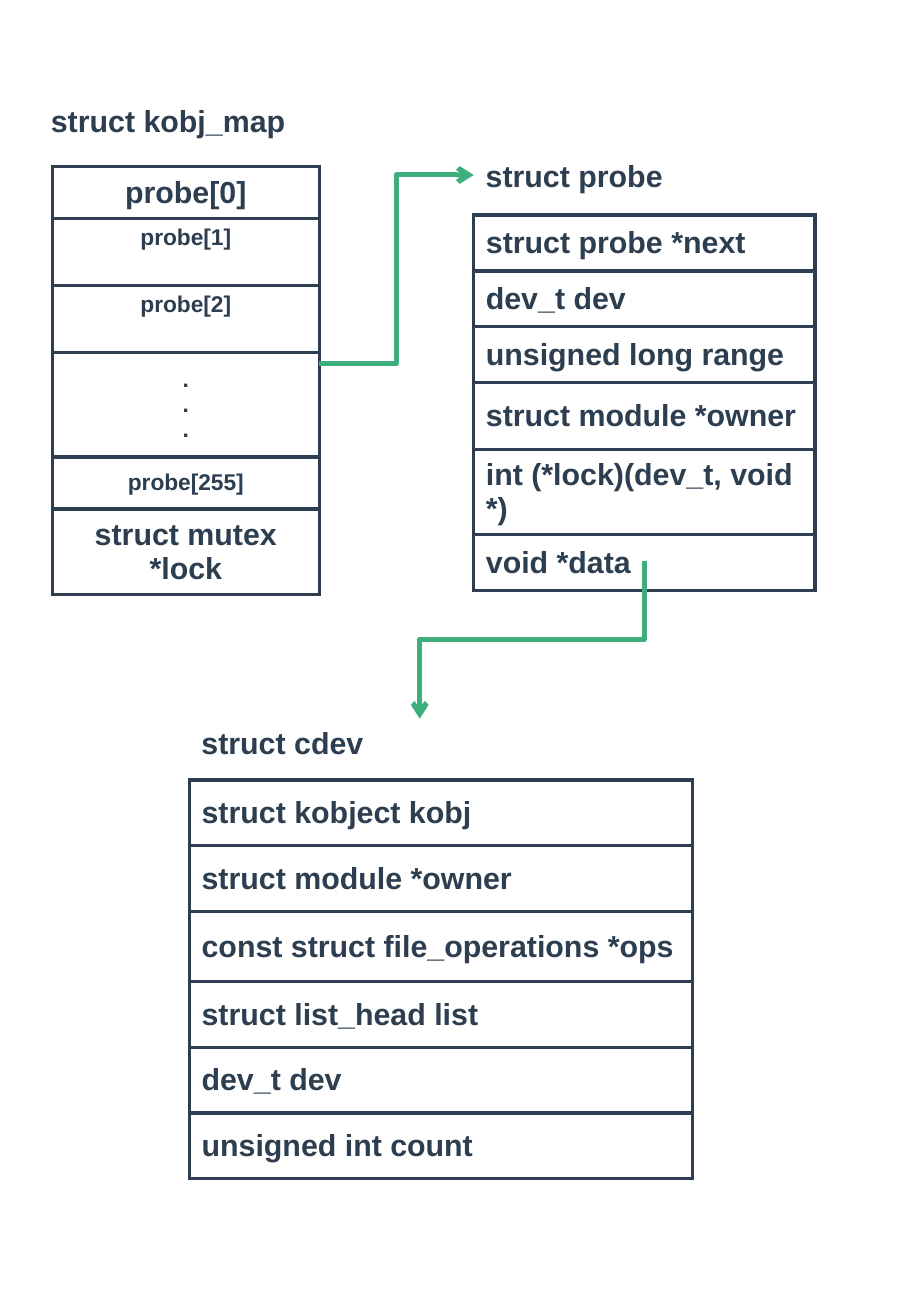
import pptx
import pptx.dml.color
import pptx.enum.shapes
import pptx.enum.text
import pptx.oxml
import pptx.oxml.ns
import pptx.util
from pptx.util import Inches

COLORS = {"ink": "2C3E50", "pointer": "3EAF7C"}
FONT = "Arial"
LEFT = pptx.enum.text.PP_ALIGN.LEFT
CENTER = pptx.enum.text.PP_ALIGN.CENTER
TOP = pptx.enum.text.MSO_ANCHOR.TOP
MIDDLE = pptx.enum.text.MSO_ANCHOR.MIDDLE

# Rows: text, height, font size, vertical anchor
KOBJ_MAP = [
    ("probe[0]", 0.43, 18, MIDDLE),
    ("probe[1]", 0.55, 13.5, TOP),
    ("probe[2]", 0.55, 13.5, TOP),
    (".\n.\n.", 0.86, 13.5, MIDDLE),
    ("probe[255]", 0.43, 13.5, MIDDLE),
    ("struct mutex *lock", 0.7, 18, MIDDLE),
]
PROBE = [
    ("struct probe *next", 0.46, 18, MIDDLE),
    ("dev_t dev", 0.46, 18, MIDDLE),
    ("unsigned long range", 0.46, 18, MIDDLE),
    ("struct module *owner", 0.55, 18, MIDDLE),
    ("int (*lock)(dev_t, void *)", 0.7, 18, MIDDLE),
    ("void *data", 0.46, 18, MIDDLE),
]
CDEV = [
    ("struct kobject kobj", 0.54, 18, MIDDLE),
    ("struct module *owner", 0.54, 18, MIDDLE),
    ("const struct file_operations *ops", 0.58, 18, MIDDLE),
    ("struct list_head list", 0.54, 18, MIDDLE),
    ("dev_t dev", 0.54, 18, MIDDLE),
    ("unsigned int count", 0.54, 18, MIDDLE),
]


def rgb(name):
    return pptx.dml.color.RGBColor.from_string(COLORS[name])


def write(text_frame, text, size, align=LEFT):
    text_frame.text = text
    for paragraph in text_frame.paragraphs:
        paragraph.alignment = align
        paragraph.font.name = FONT
        paragraph.font.size = pptx.util.Pt(size)
        paragraph.font.bold = True
        paragraph.font.color.rgb = rgb("ink")


def add_label(slide, text, left, top, width):
    label = slide.shapes.add_textbox(
        Inches(left), Inches(top), Inches(width), Inches(0.4))
    label.text_frame.word_wrap = True
    write(label.text_frame, text, 18)


def outline(cell):
    properties = cell._tc.get_or_add_tcPr()
    for index, side in enumerate("LRTB"):
        properties.insert(index, pptx.oxml.parse_xml(
            f'<a:ln{side} {pptx.oxml.ns.nsdecls("a")} w="{pptx.util.Pt(2.25)}">'
            f'<a:solidFill><a:srgbClr val="{COLORS["ink"]}"/></a:solidFill>'
            f'</a:ln{side}>'))


def add_struct(slide, members, left, top, width, align=LEFT):
    """Draw a struct's members as a one-column table."""
    height = sum(member[1] for member in members)
    table = slide.shapes.add_table(
        len(members), 1, Inches(left), Inches(top),
        Inches(width), Inches(height)).table
    table.first_row = False
    table.horz_banding = False
    for row, (text, row_height, size, anchor) in zip(table.rows, members):
        row.height = Inches(row_height)
        cell = row.cells[0]
        cell.fill.background()
        cell.vertical_anchor = anchor
        write(cell.text_frame, text, size, align)
        outline(cell)


def add_pointer(slide, start, end, rotation=0):
    """Draw an elbow arrow; start and end are taken before the rotation."""
    pointer = slide.shapes.add_connector(
        pptx.enum.shapes.MSO_CONNECTOR.ELBOW,
        *(Inches(value) for value in start + end))
    pointer.line.color.rgb = rgb("pointer")
    pointer.line.width = pptx.util.Pt(3)
    namespace = pptx.oxml.ns.nsdecls("a")
    properties = pointer._element.spPr
    pointer.line._get_or_add_ln().append(
        pptx.oxml.parse_xml(f'<a:tailEnd {namespace} type="arrow"/>'))
    properties.append(pptx.oxml.parse_xml(f"<a:effectLst {namespace}/>"))
    if rotation:
        properties.xfrm.set("rot", str(rotation * 60000))


def main():
    presentation = pptx.Presentation()
    presentation.slide_width = Inches(7.5)
    presentation.slide_height = Inches(10.83)
    slide = presentation.slides.add_slide(presentation.slide_layouts[6])

    add_label(slide, "struct kobj_map", 0.32, 0.79, 2.58)
    add_struct(slide, KOBJ_MAP, 0.43, 1.37, 2.2, CENTER)
    add_label(slide, "struct probe", 3.9, 1.24, 1.99)
    add_struct(slide, PROBE, 3.9, 1.77, 2.81)
    add_struct(slide, CDEV, 1.56, 6.42, 4.14)
    add_label(slide, "struct cdev", 1.56, 5.91, 3.78)

    add_pointer(slide, (2.63, 2.99), (3.9, 1.44))
    add_pointer(slide, (3.73, 4.34), (5.03, 6.19), rotation=90)

    presentation.save("out.pptx")


if __name__ == "__main__":
    main()
